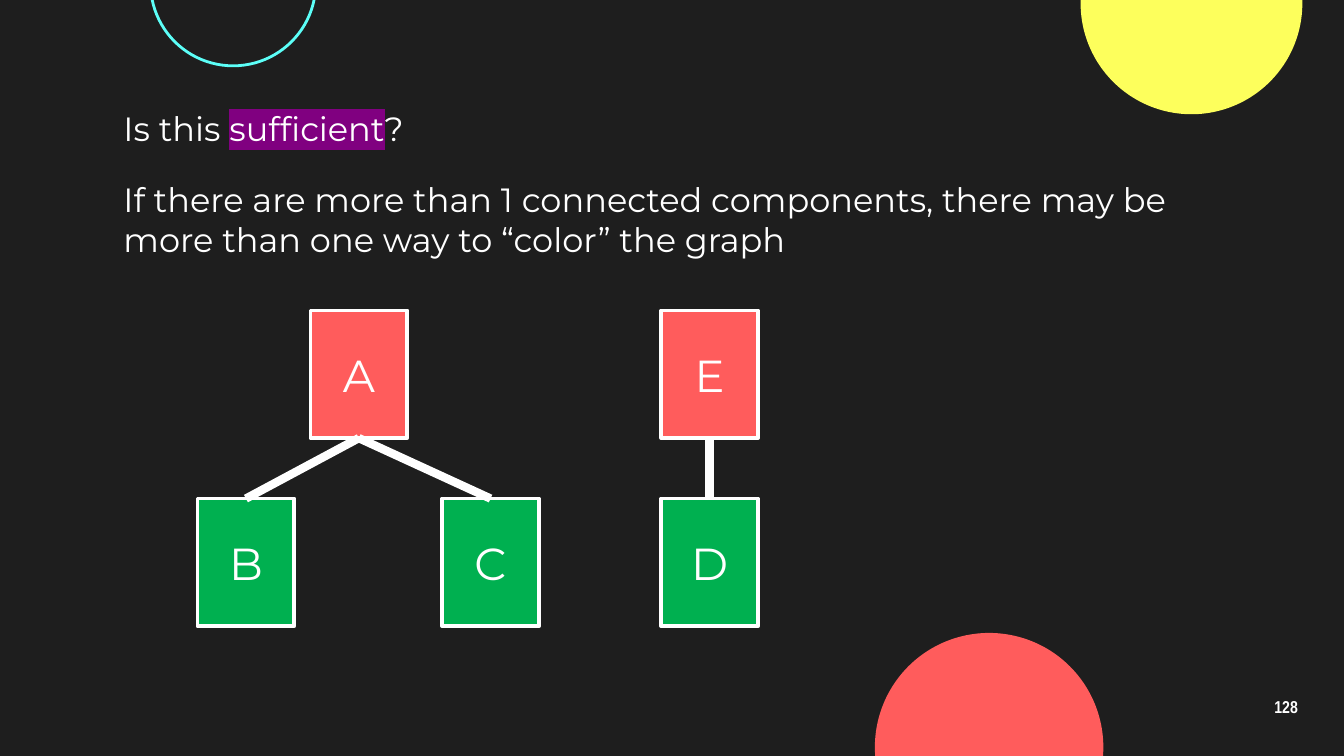
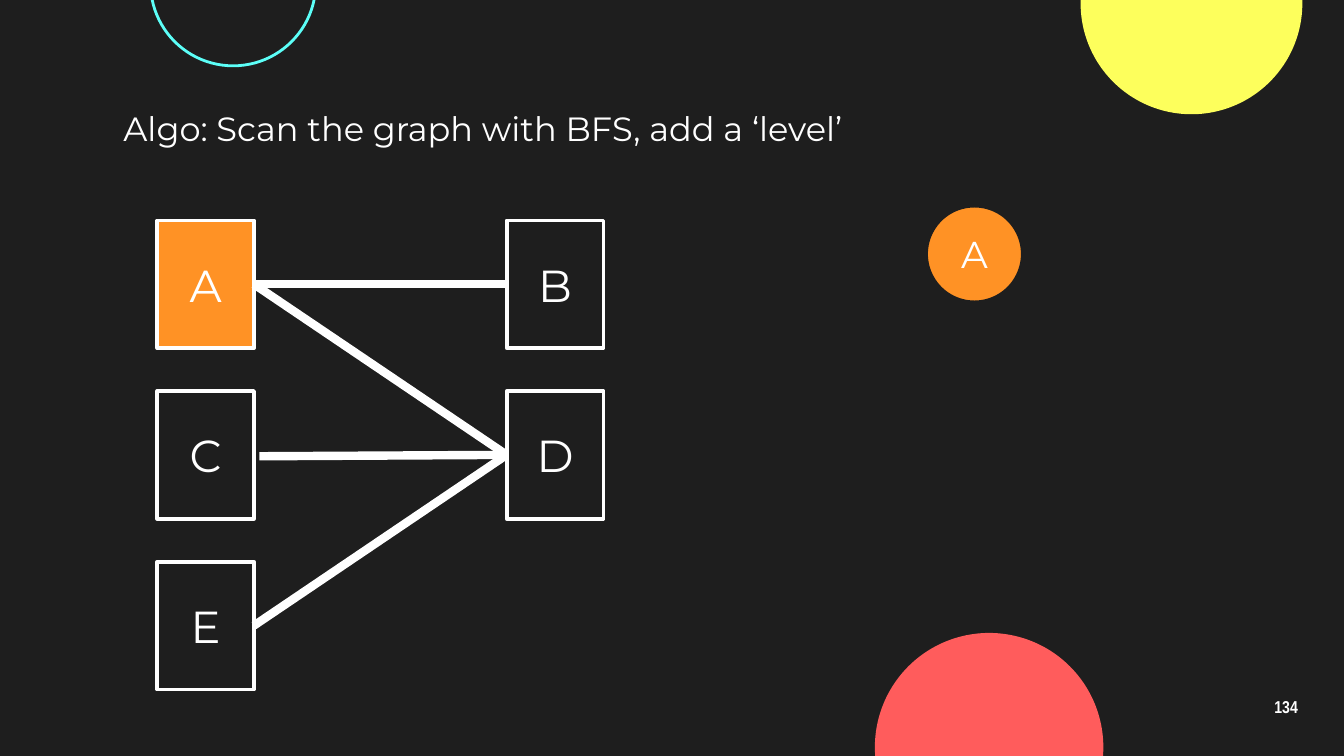
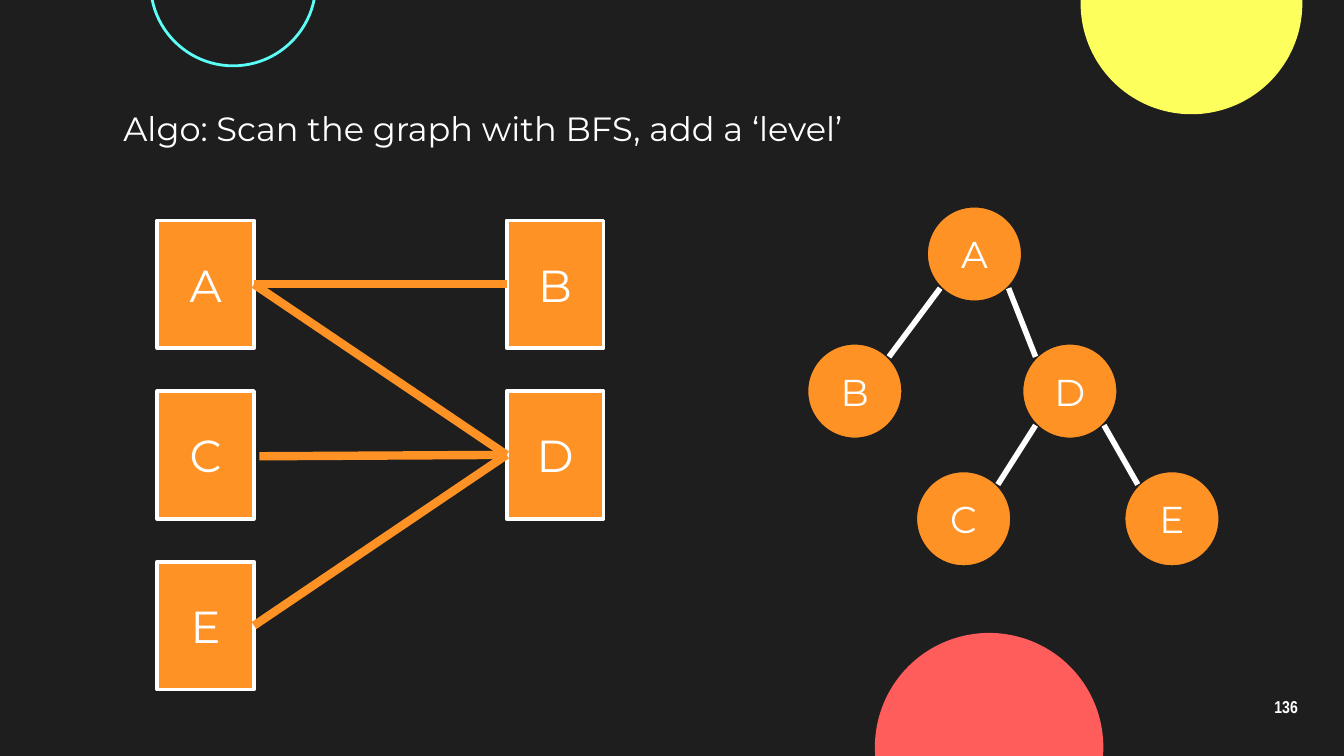
"""Build three slides about colouring a graph and scanning it by levels."""
from dataclasses import dataclass
from math import sqrt

from lxml import etree
from pptx import Presentation
from pptx.dml.color import RGBColor
from pptx.enum.shapes import MSO_CONNECTOR, MSO_SHAPE
from pptx.enum.text import MSO_ANCHOR, PP_ALIGN
from pptx.oxml.ns import qn
from pptx.util import Inches, Pt

RECTANGLE, ELLIPSE = MSO_SHAPE.RECTANGLE, MSO_SHAPE.OVAL
STRAIGHT = MSO_CONNECTOR.STRAIGHT
MIDDLE, TOP_ANCHOR = MSO_ANCHOR.MIDDLE, MSO_ANCHOR.TOP
CENTER, LEFT_ALIGN = PP_ALIGN.CENTER, PP_ALIGN.LEFT
TOP, LEFT, BOTTOM, RIGHT = range(4)


@dataclass(frozen=True)
class Theme:
    """Colours, fonts, sizes and line widths shared by the slides."""
    background: str = "1E1E1E"
    white: str = "FFFFFF"
    yellow: str = "FDFF5C"
    cyan: str = "5CFFF8"
    red: str = "FF5C5C"
    green: str = "00B050"
    orange: str = "FF9225"
    highlight: str = "800080"
    font: str = "Montserrat"
    number_font: str = "Arial Narrow"
    body_size: float = 18
    node_size: float = 24
    level_size: float = 20
    number_size: float = 9.2
    outline: float = 2
    ring: float = 1.5
    edge: float = 4.5
    branch: float = 3


THEME = Theme()
NODE_WIDTH, NODE_HEIGHT = 0.72, 0.95
LEVEL_DIAMETER = 0.72
HEADING_TOP = 0.7


def style_paragraph(paragraph, size, font=THEME.font, bold=False, align=LEFT_ALIGN):
    """Give a paragraph its alignment and white font."""
    paragraph.alignment = align
    paragraph.font.name = font
    paragraph.font.size = Pt(size)
    paragraph.font.bold = bold
    paragraph.font.color.rgb = RGBColor.from_string(THEME.white)


def add_figure(slide, kind, left, top, width, height, fill=None, line=None,
               line_width=THEME.outline):
    """Add a preset shape with an optional fill and outline."""
    shape = slide.shapes.add_shape(
        kind, Inches(left), Inches(top), Inches(width), Inches(height))
    shape.shadow.inherit = False
    if fill:
        shape.fill.solid()
        shape.fill.fore_color.rgb = RGBColor.from_string(fill)
    else:
        shape.fill.background()
    if line:
        shape.line.color.rgb = RGBColor.from_string(line)
        shape.line.width = Pt(line_width)
    else:
        shape.line.fill.background()
    return shape


def add_label(shape, text, size):
    """Centre a label in a shape."""
    shape.text_frame.vertical_anchor = MIDDLE
    paragraph = shape.text_frame.paragraphs[0]
    paragraph.text = text
    style_paragraph(paragraph, size, align=CENTER)


def add_line(slide, start, end, color, width):
    """Add a straight connector between two points in inches."""
    connector = slide.shapes.add_connector(
        STRAIGHT, *(Inches(value) for value in (*start, *end)))
    connector.line.color.rgb = RGBColor.from_string(color)
    connector.line.width = Pt(width)
    etree.SubElement(connector._element.spPr, qn("a:effectLst"))
    return connector


def add_text_box(slide, left, top, width, height, anchor=TOP_ANCHOR):
    """Add a wrapping text box with even insets and return its paragraph."""
    box = slide.shapes.add_textbox(
        Inches(left), Inches(top), Inches(width), Inches(height))
    frame = box.text_frame
    frame.word_wrap = True
    frame.vertical_anchor = anchor
    frame.margin_left = frame.margin_right = Inches(0.1)
    frame.margin_top = frame.margin_bottom = Inches(0.1)
    return frame.paragraphs[0]


def add_statement(slide, top, width, *parts, marked=None):
    """Add a line of body text, highlighting the marked part."""
    paragraph = add_text_box(slide, 0.82, top, width, 0.54)
    for part in parts:
        run = paragraph.add_run()
        run.text = part
        if part == marked:
            properties = run._r.get_or_add_rPr()
            highlight = etree.SubElement(properties, qn("a:highlight"))
            etree.SubElement(highlight, qn("a:srgbClr"), val=THEME.highlight)
    style_paragraph(paragraph, THEME.body_size)


def add_base_slide(presentation, number):
    """Add a dark slide with its three circles and slide number."""
    slide = presentation.slides.add_slide(presentation.slide_layouts[6])
    slide.background.fill.solid()
    slide.background.fill.fore_color.rgb = RGBColor.from_string(THEME.background)
    for left, top, diameter, fill, line in (
            (8.04, -0.8, 1.65, THEME.yellow, None),
            (1.12, -0.74, 1.23, None, THEME.cyan),
            (6.51, 4.71, 1.7, THEME.red, None)):
        add_figure(slide, ELLIPSE, left, top, diameter, diameter, fill, line, THEME.ring)
    paragraph = add_text_box(slide, 9.27, 5.1, 0.6, 0.34, MIDDLE)
    paragraph.text = str(number)
    paragraph.line_spacing = 0.9
    style_paragraph(paragraph, THEME.number_size, THEME.number_font, True, CENTER)
    return slide


def add_node(slide, name, left, top, fill):
    """Add one rectangular graph node."""
    node = add_figure(slide, RECTANGLE, left, top, NODE_WIDTH, NODE_HEIGHT,
                      fill, THEME.white)
    add_label(node, name, THEME.node_size)
    return node


def join_nodes(slide, first, first_side, second, second_side, color):
    """Join the sides of two nodes with a thick edge."""
    connector = add_line(slide, (0, 0), (0, 0), color, THEME.edge)
    connector.begin_connect(first, first_side)
    connector.end_connect(second, second_side)


def add_components(slide, left, top):
    """Draw two coloured components with parents above their children."""
    child_top = 1.4
    places = {"A": (0.84, 0), "B": (0, child_top), "C": (1.82, child_top),
              "D": (3.45, child_top), "E": (3.45, 0)}
    nodes = {name: add_node(slide, name, left + x, top + y,
                            THEME.green if y else THEME.red)
             for name, (x, y) in places.items()}
    for parent, child in ("AB", "AC", "ED"):
        join_nodes(slide, nodes[child], TOP, nodes[parent], BOTTOM, THEME.white)


def add_bipartite_graph(slide, left, top, visited, edge_color):
    """Draw the two-column graph with its visited nodes filled."""
    column_step, row_step, gap = 2.6, 1.27, 0.04
    nodes = {}
    for column, names in enumerate(("ACE", "BD")):
        for row, name in enumerate(names):
            nodes[name] = add_node(
                slide, name, left + column * column_step, top + row * row_step,
                THEME.orange if name in visited else None)
    for first, second in ("AB", "AD", "ED"):
        join_nodes(slide, nodes[first], RIGHT, nodes[second], LEFT, edge_color)
    start = left + NODE_WIDTH + gap, top + row_step + NODE_HEIGHT / 2 + 0.01
    connector = add_line(slide, start, start, edge_color, THEME.edge)
    connector.end_connect(nodes["D"], LEFT)


def add_level_tree(slide, left, top, visited):
    """Draw the visited part of the tree of scan levels."""
    places = {"A": (0.89, 0), "B": (0, 1.02), "D": (1.6, 1.02),
              "C": (0.81, 1.97), "E": (2.36, 1.97)}
    near = LEVEL_DIAMETER / 2 * (1 - sqrt(0.5))
    far = LEVEL_DIAMETER - near
    for name in visited:
        x, y = places[name]
        circle = add_figure(slide, ELLIPSE, left + x, top + y, LEVEL_DIAMETER,
                            LEVEL_DIAMETER, THEME.orange, THEME.background)
        add_label(circle, name, THEME.level_size)
    for parent, child in ("AB", "AD", "DC", "DE"):
        if child in visited:
            (parent_x, parent_y), (child_x, child_y) = places[parent], places[child]
            child_side, parent_side = (far, near) if child_x < parent_x else (near, far)
            add_line(slide, (left + child_x + child_side, top + child_y + near),
                     (left + parent_x + parent_side, top + parent_y + far),
                     THEME.white, THEME.branch)


def add_components_slide(presentation, number):
    """Add the slide that asks whether the condition is sufficient."""
    slide = add_base_slide(presentation, number)
    add_statement(slide, HEADING_TOP, 8.48, "Is this ", "sufficient", "?",
                  marked="sufficient")
    add_statement(slide, 1.23, 8.48,
                  "If there are more than 1 connected components, there may be "
                  "more than one way to “color” the graph")
    add_components(slide, 1.47, 2.31)


def add_scan_slide(presentation, number, visited, edge_color):
    """Add a slide with one stage of the scan."""
    slide = add_base_slide(presentation, number)
    add_statement(slide, HEADING_TOP, 7.6, "Algo: Scan the graph with BFS, add a ‘level’")
    add_bipartite_graph(slide, 1.17, 1.64, visited, edge_color)
    add_level_tree(slide, 6, 1.53, visited)


def main():
    """Build and save the presentation."""
    presentation = Presentation()
    presentation.slide_width = Inches(10)
    presentation.slide_height = presentation.slide_width * 9 // 16
    add_components_slide(presentation, 128)
    add_scan_slide(presentation, 134, "A", THEME.white)
    add_scan_slide(presentation, 136, "ABDCE", THEME.orange)
    presentation.save("out.pptx")


if __name__ == "__main__":
    main()
